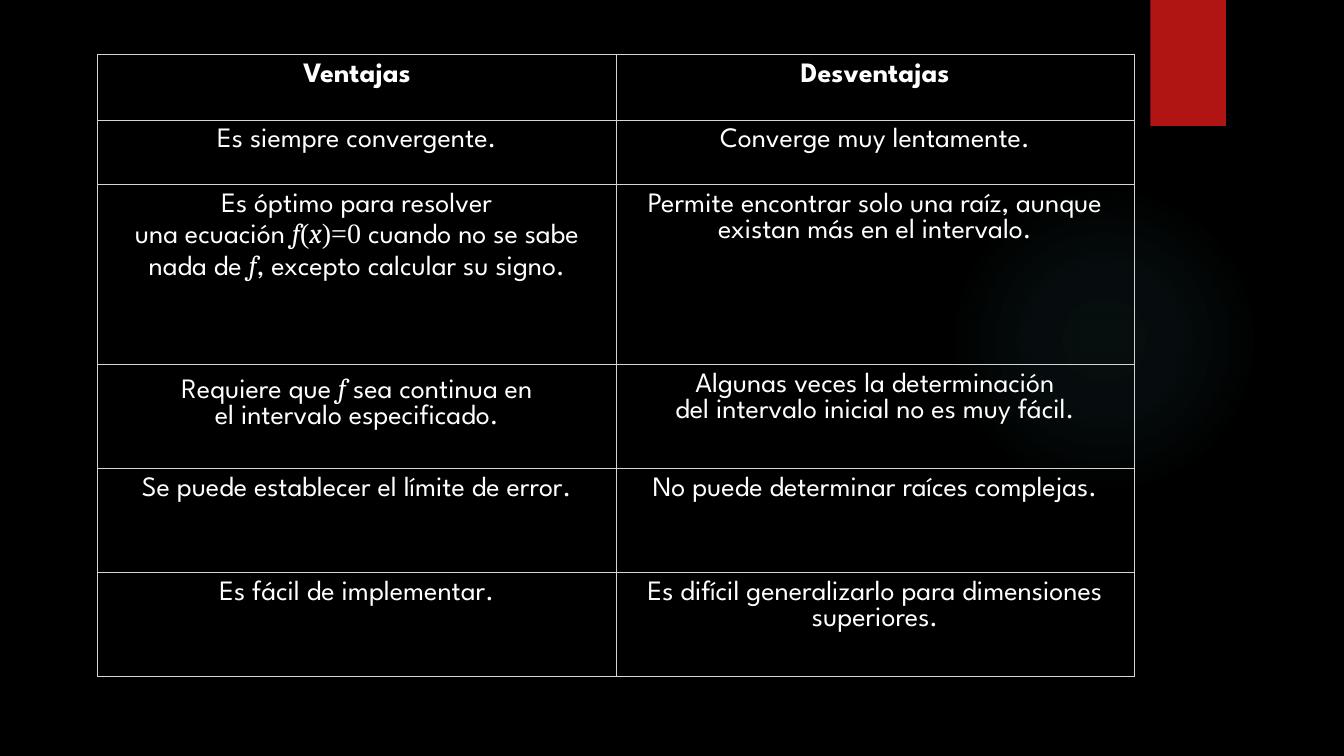
import pptx
import pptx.dml.color
import pptx.enum.shapes
import pptx.enum.text
import pptx.oxml
import pptx.oxml.ns
import pptx.util

Inches = pptx.util.Inches
SHAPES = pptx.enum.shapes.MSO_SHAPE

# Each cell is a list of (text, style) runs; "~" stands for a no-break space.
NO_BREAK_SPACE = chr(160)
ROWS = [
    ([("Ventajas", "heading")], [("Desventajas", "heading")]),
    ([("Es siempre convergente.", "body")], [("Converge muy lentamente.", "body")]),
    (
        [
            ("Es óptimo para resolver una~ecuación~", "body"),
            ("f", "variable"),
            ("(", "formula"),
            ("x", "variable"),
            (")=0", "formula"),
            ("~cuando no se sabe nada de~", "body"),
            ("f", "variable"),
            (", excepto calcular su signo.", "body"),
        ],
        [("Permite encontrar solo una~raíz, aunque existan más en el~intervalo.", "body")],
    ),
    (
        [
            ("Requiere que~", "body"),
            ("f", "variable"),
            ("~sea continua en el~intervalo~especificado.", "body"),
        ],
        [("Algunas veces la determinación del~intervalo~inicial no es muy fácil.", "body")],
    ),
    (
        [("Se puede establecer el límite de error.", "body")],
        [("No puede determinar raíces complejas.", "body")],
    ),
    (
        [("Es fácil de implementar.", "body")],
        [("Es difícil generalizarlo para dimensiones superiores.", "body")],
    ),
]
STYLES = {
    "heading": {"font": "League Spartan", "bold": True},
    "body": {"font": "League Spartan"},
    "variable": {"font": "Cambria", "italic": True},
    "formula": {"font": "Times New Roman"},
}
COLOURS = {
    "background": "000000",
    "text": "FFFFFF",
    "border": "D4D4D4",
    "tab": "B01513",
    "glow": "50B9C1",
}
GLOW_STOPS = [(0, 7), (36, 6), (69, 0)]  # position and opacity, in percent
SLIDE_WIDTH, SLIDE_HEIGHT = 13.33, 7.5
TABLE_LEFT, TABLE_TOP = 0.97, 0.54
COLUMN_WIDTH = 5.14
ROW_HEIGHTS = [0.65, 0.64, 1.79, 1.03, 1.03, 1.03]
CELL_MARGIN = 0.08
BORDER_WIDTH = 0.75


def rgb(name):
    return pptx.dml.color.RGBColor.from_string(COLOURS[name])


def parse_drawing(xml):
    """Parse DrawingML whose root element uses the prefix a."""
    head, tail = xml.split(">", 1)
    return pptx.oxml.parse_xml(f"{head} {pptx.oxml.ns.nsdecls('a')}>{tail}")


def add_text(paragraph, text, font, size=20, bold=False, italic=False, colour="text"):
    run = paragraph.add_run()
    run.text = text.replace("~", NO_BREAK_SPACE)
    run.font.name = font
    run.font.size = pptx.util.Pt(size)
    run.font.bold = bold
    run.font.italic = italic
    run.font.color.rgb = rgb(colour)


def add_plain_shape(slide, kind, left, top, width, height, colour):
    shape = slide.shapes.add_shape(
        kind, Inches(left), Inches(top), Inches(width), Inches(height)
    )
    shape.shadow.inherit = False
    shape.line.fill.background()
    shape.fill.solid()
    shape.fill.fore_color.rgb = rgb(colour)
    return shape


def add_glow(slide):
    glow = add_plain_shape(slide, SHAPES.OVAL, 9.41, 1.83, 3.08, 3.08, "glow")
    stops = "".join(
        f'<a:gs pos="{position * 1000}"><a:srgbClr val="{COLOURS["glow"]}">'
        f'<a:alpha val="{opacity * 1000}"/></a:srgbClr></a:gs>'
        for position, opacity in GLOW_STOPS
    )
    gradient = parse_drawing(
        f'<a:gradFill rotWithShape="1"><a:gsLst>{stops}</a:gsLst><a:path path="circle">'
        '<a:fillToRect l="50000" t="50000" r="50000" b="50000"/></a:path></a:gradFill>'
    )
    properties = glow.element.spPr
    properties.replace(properties.find(pptx.oxml.ns.qn("a:solidFill")), gradient)


def set_borders(cell):
    properties = cell._tc.get_or_add_tcPr()
    for index, side in enumerate("LRTB"):
        border = parse_drawing(
            f'<a:ln{side} w="{int(BORDER_WIDTH * 12700)}"><a:solidFill>'
            f'<a:srgbClr val="{COLOURS["border"]}"/></a:solidFill></a:ln{side}>'
        )
        properties.insert(index, border)


def fill_cell(cell, runs):
    cell.fill.background()
    cell.margin_left = cell.margin_right = Inches(CELL_MARGIN)
    cell.margin_top = cell.margin_bottom = Inches(CELL_MARGIN)
    set_borders(cell)
    paragraph = cell.text_frame.paragraphs[0]
    paragraph.alignment = pptx.enum.text.PP_ALIGN.CENTER
    for text, style in runs:
        add_text(paragraph, text, **STYLES[style])


def add_comparison_table(slide):
    columns = len(ROWS[0])
    table = slide.shapes.add_table(
        len(ROWS), columns, Inches(TABLE_LEFT), Inches(TABLE_TOP),
        Inches(COLUMN_WIDTH * columns), Inches(sum(ROW_HEIGHTS)),
    ).table
    table.first_row = table.horz_banding = False
    for column in table.columns:
        column.width = Inches(COLUMN_WIDTH)
    for row, height, contents in zip(table.rows, ROW_HEIGHTS, ROWS):
        row.height = Inches(height)
        for cell, runs in zip(row.cells, contents):
            fill_cell(cell, runs)


def main():
    presentation = pptx.Presentation()
    presentation.slide_width = Inches(SLIDE_WIDTH)
    presentation.slide_height = Inches(SLIDE_HEIGHT)
    slide = presentation.slides.add_slide(presentation.slide_layouts[6])
    slide.background.fill.solid()
    slide.background.fill.fore_color.rgb = rgb("background")
    add_glow(slide)
    add_plain_shape(slide, SHAPES.RECTANGLE, 11.41, 0, 0.75, 1.25, "tab")
    add_comparison_table(slide)
    presentation.save("out.pptx")


if __name__ == "__main__":
    main()
